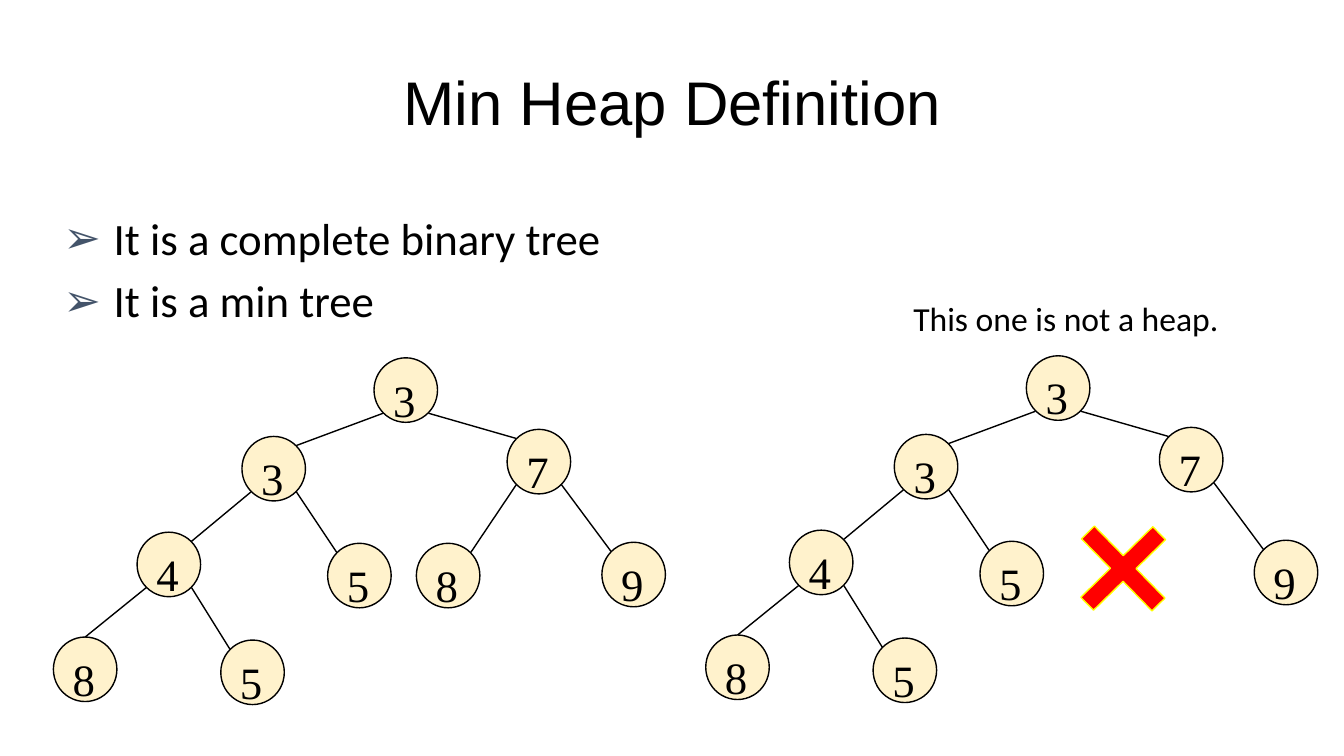
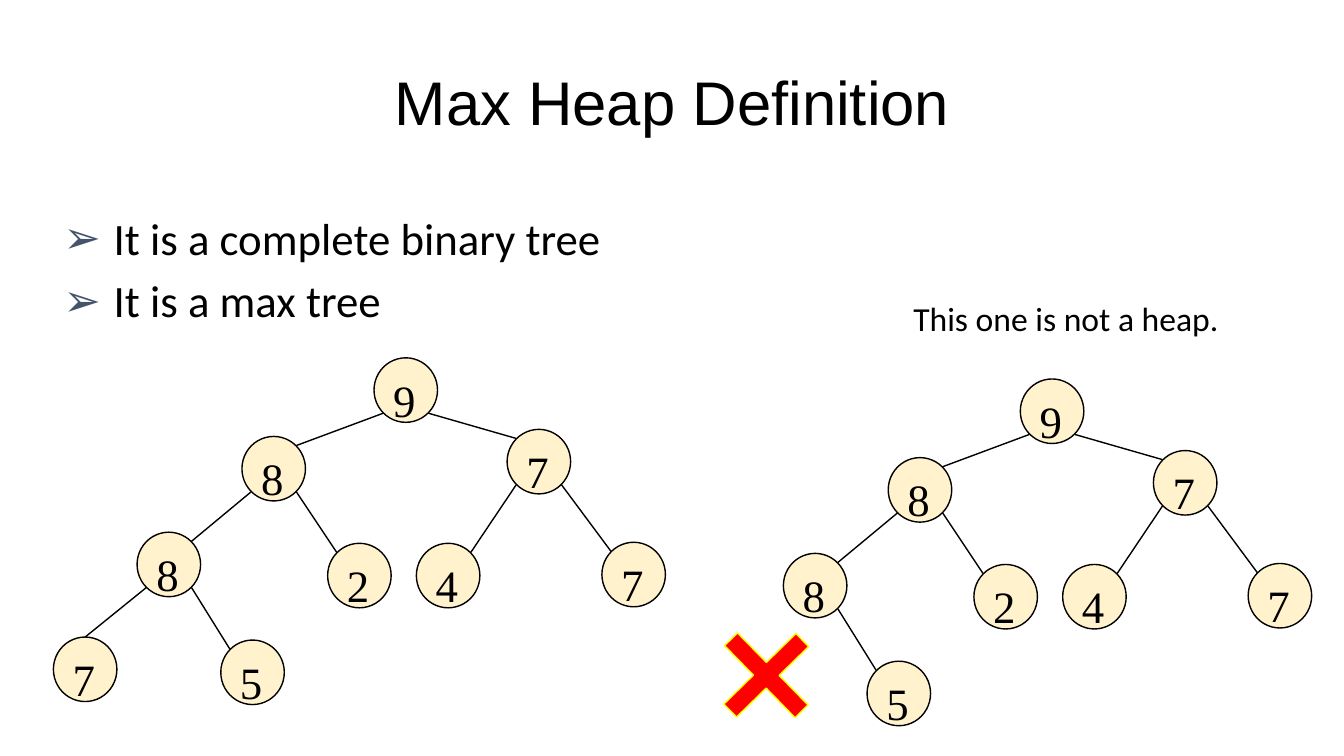
import pptx
import pptx.dml.color
import pptx.enum.shapes
import pptx.enum.text
import pptx.oxml.ns
import pptx.util
from lxml import etree

Inches = pptx.util.Inches
Pt = pptx.util.Pt
SHAPES = pptx.enum.shapes.MSO_SHAPE
ANCHOR = pptx.enum.text.MSO_ANCHOR
ALIGN = pptx.enum.text.PP_ALIGN
qn = pptx.oxml.ns.qn

NODE_OFFSETS = [
    (3.18, 0), (1.87, 0.78), (4.5, 0.71),
    (0.83, 1.73), (2.72, 1.84), (3.6, 1.84), (5.44, 1.83),
    (0, 2.77), (1.66, 2.8),
]
VALID_ORIGIN = (0.53, 3.55)


def color(hex_code):
    return pptx.dml.color.RGBColor.from_string(hex_code)


class HeapDeck:
    """Hold the deck style and draw each kind of element on the current slide."""

    INK = "000000"
    NODE_FILL = "FFF2CC"
    BULLET = "44546A"
    CROSS_FILL = "FF0000"
    CROSS_LINE = "FFFF00"
    TITLE_FONT = "Arial"
    BODY_FONT = "Calibri"
    NODE_FONT = "Times New Roman"
    NODE_WIDTH, NODE_HEIGHT = 0.63, 0.64
    RIM = 0.09

    def __init__(self):
        self.deck = pptx.Presentation()
        self.deck.slide_width = Inches(13.33)
        self.deck.slide_height = Inches(7.5)
        self.slide = None

    def new_slide(self):
        self.slide = self.deck.slides.add_slide(self.deck.slide_layouts[6])

    def format_runs(self, paragraph, font_name, size):
        for run in paragraph.runs:
            run.font.name = font_name
            run.font.size = Pt(size)
            run.font.color.rgb = color(self.INK)

    def text_frame(self, left, top, width, height, text, wrap=True):
        box = self.slide.shapes.add_textbox(
            Inches(left), Inches(top), Inches(width), Inches(height))
        box.text_frame.word_wrap = wrap
        box.text_frame.text = text
        return box.text_frame

    def title(self, text):
        frame = self.text_frame(2.42, 0.42, 8.5, 1.25, text)
        frame.vertical_anchor = ANCHOR.MIDDLE
        heading = frame.paragraphs[0]
        heading.alignment = ALIGN.CENTER
        heading.line_spacing = 0.9
        self.format_runs(heading, self.TITLE_FONT, 44)

    def bullets(self, points):
        frame = self.text_frame(0.53, 2.1, 9.17, 3.5, "\n".join(points))
        for index, point in enumerate(frame.paragraphs):
            point.line_spacing = 0.9
            if index:
                point.space_before = Pt(10)
            properties = point._p.get_or_add_pPr()
            properties.set("marL", str(Inches(0.5)))
            properties.set("indent", str(-Inches(0.5)))
            bullet_color = etree.SubElement(properties, qn("a:buClr"))
            etree.SubElement(bullet_color, qn("a:srgbClr"), val=self.BULLET)
            etree.SubElement(properties, qn("a:buFont"), typeface=self.TITLE_FONT)
            etree.SubElement(properties, qn("a:buChar"), char="➢")
            self.format_runs(point, self.BODY_FONT, 32)

    def caption(self, text):
        frame = self.text_frame(8.96, 2.91, 3.26, 0.5, text, wrap=False)
        frame.auto_size = pptx.enum.text.MSO_AUTO_SIZE.SHAPE_TO_FIT_TEXT
        self.format_runs(frame.paragraphs[0], self.BODY_FONT, 24)

    def shape(self, preset, left, top, width, height, fill, line):
        shape = self.slide.shapes.add_shape(
            preset, Inches(left), Inches(top), Inches(width), Inches(height))
        shape.shadow.inherit = False
        shape.fill.solid()
        shape.fill.fore_color.rgb = color(fill)
        shape.line.color.rgb = color(line)
        shape.line.width = Pt(1)
        return shape

    def node(self, left, top, value):
        circle = self.shape(SHAPES.OVAL, left, top, self.NODE_WIDTH,
                            self.NODE_HEIGHT, self.NODE_FILL, self.INK)
        frame = circle.text_frame
        frame.text = str(value)
        frame.vertical_anchor = ANCHOR.TOP
        frame.paragraphs[0].alignment = ALIGN.LEFT
        self.format_runs(frame.paragraphs[0], self.NODE_FONT, 32)

    def cross(self, left, top):
        mark = self.shape(SHAPES.CROSS, left, top, 1, 1,
                          self.CROSS_FILL, self.CROSS_LINE)
        mark.adjustments[0] = 0.41
        mark.rotation = 45.6

    def edge(self, start, end):
        branch = self.slide.shapes.add_connector(
            pptx.enum.shapes.MSO_CONNECTOR.STRAIGHT,
            *(Inches(value) for value in (*start, *end)))
        branch.line.color.rgb = color(self.INK)
        branch.line.width = Pt(1)
        etree.SubElement(branch._element.spPr, qn("a:effectLst"))

    def tree(self, origin, values):
        places = [(origin[0] + x, origin[1] + y) for x, y in NODE_OFFSETS]
        near, far = self.RIM, self.NODE_WIDTH - self.RIM
        bottom = self.NODE_HEIGHT - self.RIM
        for index, value in enumerate(values):
            if value is None:
                continue
            left, top = places[index]
            self.node(left, top, value)
            if index == 0:
                continue
            parent_left, parent_top = places[(index - 1) // 2]
            is_left_child = index % 2 == 1
            start = (parent_left + (near if is_left_child else far),
                     parent_top + bottom)
            if index == 7:
                end = (left + self.NODE_WIDTH / 2, top)
            else:
                end = (left + (far if is_left_child else near), top + self.RIM)
            self.edge(start, end)

    def save(self):
        self.deck.save("out.pptx")


def main():
    heaps = [
        ("Min", [3, 3, 7, 4, 5, 8, 9, 8, 5], 5, (7, 3.53), (10.64, 5.14)),
        ("Max", [9, 8, 7, 8, 2, 4, 7, 7, 5], 7, (6.94, 3.76), (7.1, 6.2)),
    ]
    deck = HeapDeck()
    for kind, values, missing, broken_origin, cross_place in heaps:
        deck.new_slide()
        deck.title(f"{kind} Heap Definition")
        deck.bullets(["It is a complete binary tree",
                      f"It is a {kind.lower()} tree"])
        deck.tree(VALID_ORIGIN, values)
        broken = [None if index == missing else value
                  for index, value in enumerate(values)]
        deck.tree(broken_origin, broken)
        deck.cross(*cross_place)
        deck.caption("This one is not a heap.")
    deck.save()


if __name__ == "__main__":
    main()
